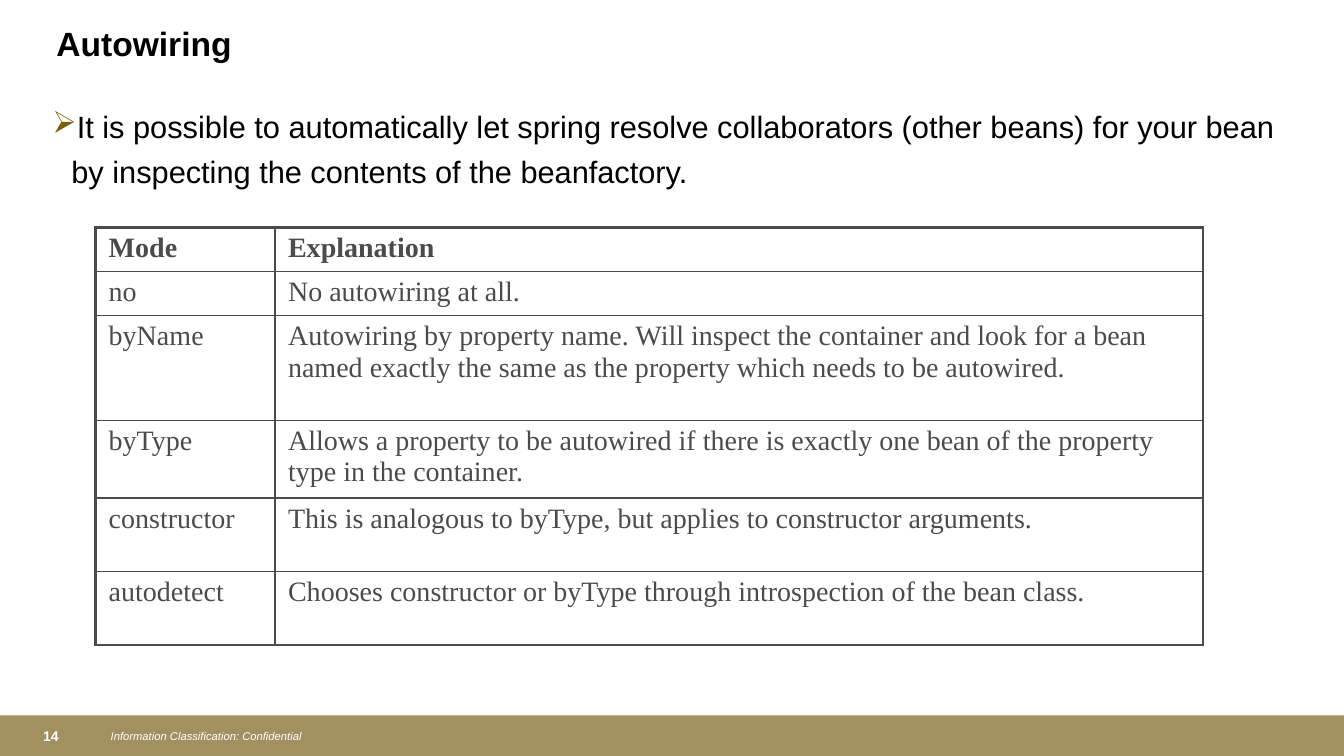
from dataclasses import dataclass

from lxml import etree
from pptx import Presentation
from pptx.dml.color import RGBColor
from pptx.enum.shapes import MSO_SHAPE
from pptx.enum.text import MSO_ANCHOR
from pptx.oxml.ns import qn
from pptx.util import Cm, Pt

RECTANGLE = MSO_SHAPE.RECTANGLE
TOP, MIDDLE = MSO_ANCHOR.TOP, MSO_ANCHOR.MIDDLE


@dataclass(frozen=True)
class Theme:
    font: str = "Arial"
    table_font: str = "Times New Roman"
    ink: str = "000000"
    table_ink: str = "4B4B4B"
    band: str = "A29060"
    band_ink: str = "FFFFFF"
    bullet: str = "7A5F06"
    title_size: int = 24
    body_size: int = 22
    table_size: int = 20
    number_size: int = 10
    footer_size: int = 8
    thin_line: float = 1
    thick_line: float = 2.25


def add_element(parent, tag, **attributes):
    return etree.SubElement(parent, qn(tag), attributes)


def write_text(text_frame, text, *, font, size, color, bold=False, italic=False,
               line_spacing=None, bullet=None, bullet_color=None, hanging=0):
    paragraph = text_frame.paragraphs[0]
    paragraph.text = text
    if line_spacing:
        paragraph.line_spacing = line_spacing
    if bullet:
        properties = paragraph._p.get_or_add_pPr()
        properties.set("marL", str(Cm(hanging)))
        properties.set("indent", str(-Cm(hanging)))
        add_element(add_element(properties, "a:buClr"), "a:srgbClr", val=bullet_color)
        add_element(properties, "a:buChar", char=bullet)
    style = paragraph.runs[0].font
    style.name, style.size = font, Pt(size)
    style.bold, style.italic = bold, italic
    style.color.rgb = RGBColor.from_string(color)


class SlideBuilder:
    def __init__(self, slide, theme):
        self.slide = slide
        self.theme = theme

    def band(self, left, top, width, height):
        shape = self.slide.shapes.add_shape(
            RECTANGLE, Cm(left), Cm(top), Cm(width), Cm(height))
        shape.shadow.inherit = False
        shape.fill.solid()
        shape.fill.fore_color.rgb = RGBColor.from_string(self.theme.band)
        shape.line.fill.background()

    def text(self, text, left, top, width, height, anchor=TOP, **text_format):
        box = self.slide.shapes.add_textbox(Cm(left), Cm(top), Cm(width), Cm(height))
        box.text_frame.word_wrap = True
        box.text_frame.vertical_anchor = anchor
        write_text(box.text_frame, text, font=self.theme.font, **text_format)

    def border(self, cell, side, width):
        line = add_element(cell._tc.get_or_add_tcPr(), f"a:ln{side}", w=str(Pt(width)))
        fill = add_element(line, "a:solidFill")
        add_element(fill, "a:srgbClr", val=self.theme.table_ink)

    def table(self, rows, left, top, column_widths, row_heights):
        theme = self.theme
        table = self.slide.shapes.add_table(
            len(rows), len(column_widths), Cm(left), Cm(top),
            Cm(sum(column_widths)), Cm(sum(row_heights))).table
        table.first_row = table.horz_banding = False
        for column, width in zip(table.columns, column_widths):
            column.width = Cm(width)
        last_row, last_column = len(rows) - 1, len(column_widths) - 1
        for i, (values, height) in enumerate(zip(rows, row_heights)):
            table.rows[i].height = Cm(height)
            for j, value in enumerate(values):
                cell = table.cell(i, j)
                cell.margin_left = cell.margin_right = Cm(0.33)
                cell.margin_top = cell.margin_bottom = Cm(0.13)
                # Thick frame outside, thin lines inside
                outer = {"L": j == 0, "R": j == last_column,
                         "T": i == 0, "B": i == last_row}
                for side, is_outer in outer.items():
                    self.border(cell, side,
                                theme.thick_line if is_outer else theme.thin_line)
                cell.fill.background()
                write_text(cell.text_frame, value, font=theme.table_font,
                           size=theme.table_size, color=theme.table_ink, bold=i == 0)


MODES = [
    ("Mode", "Explanation"),
    ("no", "No autowiring at all."),
    ("byName", "Autowiring by property name. Will inspect the container and look for "
               "a bean named exactly the same as the property which needs to be autowired."),
    ("byType", "Allows a property to be autowired if there is exactly one bean of the "
               "property type in the container."),
    ("constructor", "This is analogous to byType, but applies to constructor arguments."),
    ("autodetect", "Chooses constructor or byType through introspection of the bean class."),
]


def main():
    presentation = Presentation()
    presentation.slide_width, presentation.slide_height = Cm(33.87), Cm(19.05)
    theme = Theme()
    builder = SlideBuilder(
        presentation.slides.add_slide(presentation.slide_layouts[6]), theme)

    # Footer
    builder.band(0, 18.03, 33.87, 1.02)
    builder.text("14", 0.84, 18.08, 1.52, 0.97, MIDDLE, size=theme.number_size,
                 color=theme.band_ink, bold=True, line_spacing=0.95)
    builder.text("Information Classification: Confidential", 2.54, 18.26, 23.55, 0.61,
                 MIDDLE, size=theme.footer_size, color=theme.band_ink, italic=True,
                 line_spacing=0.95)

    # Title and introduction
    builder.text("Autowiring", 1.17, 0.46, 31.5, 1.83,
                 size=theme.title_size, color=theme.ink, bold=True)
    builder.text("It is possible to automatically let spring resolve collaborators "
                 "(other beans) for your bean by inspecting the contents of the "
                 "beanfactory.", 1.07, 2.41, 31.32, 1.57,
                 size=theme.body_size, color=theme.ink, line_spacing=1.2,
                 bullet="➢", bullet_color=theme.bullet, hanging=0.48)

    # Autowiring modes
    builder.table(MODES, 2.41, 5.74, column_widths=[4.52, 23.39],
                  row_heights=[1.04, 1.04, 2.64, 1.85, 1.85, 1.85])

    presentation.save("out.pptx")


if __name__ == "__main__":
    main()
